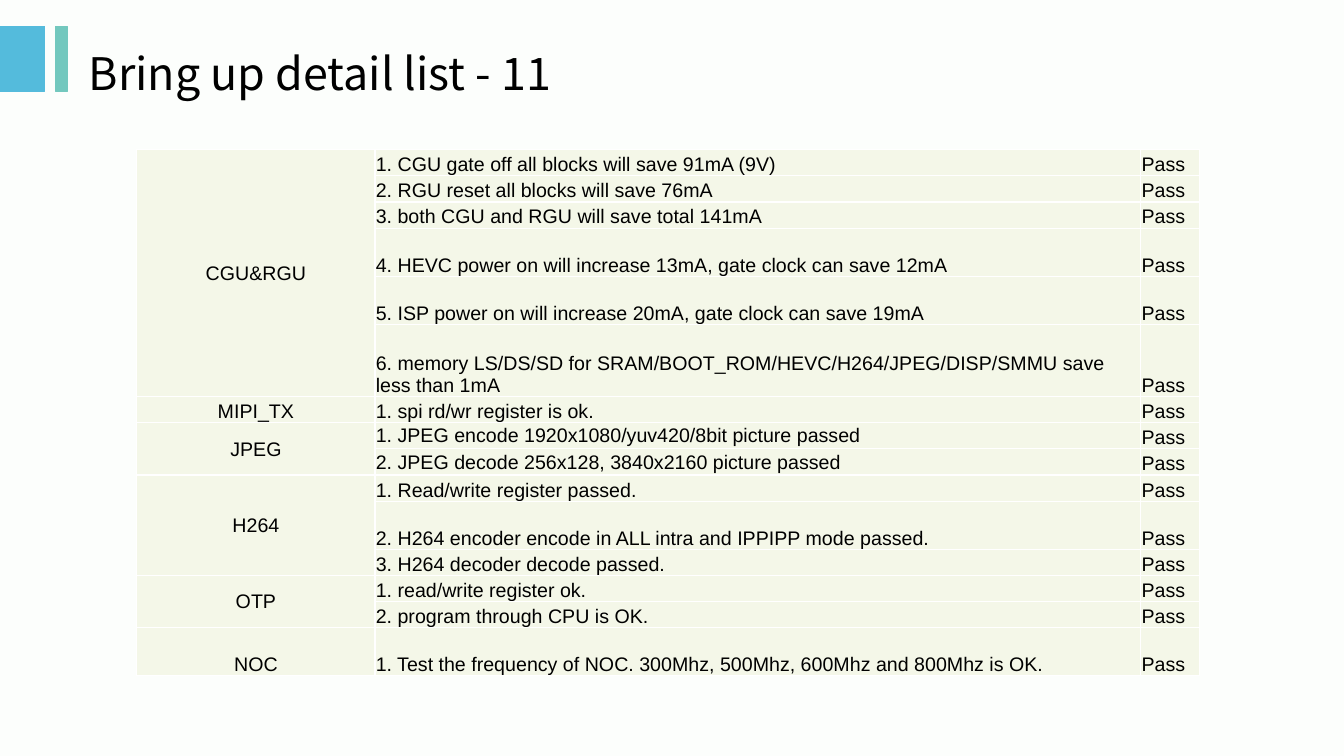
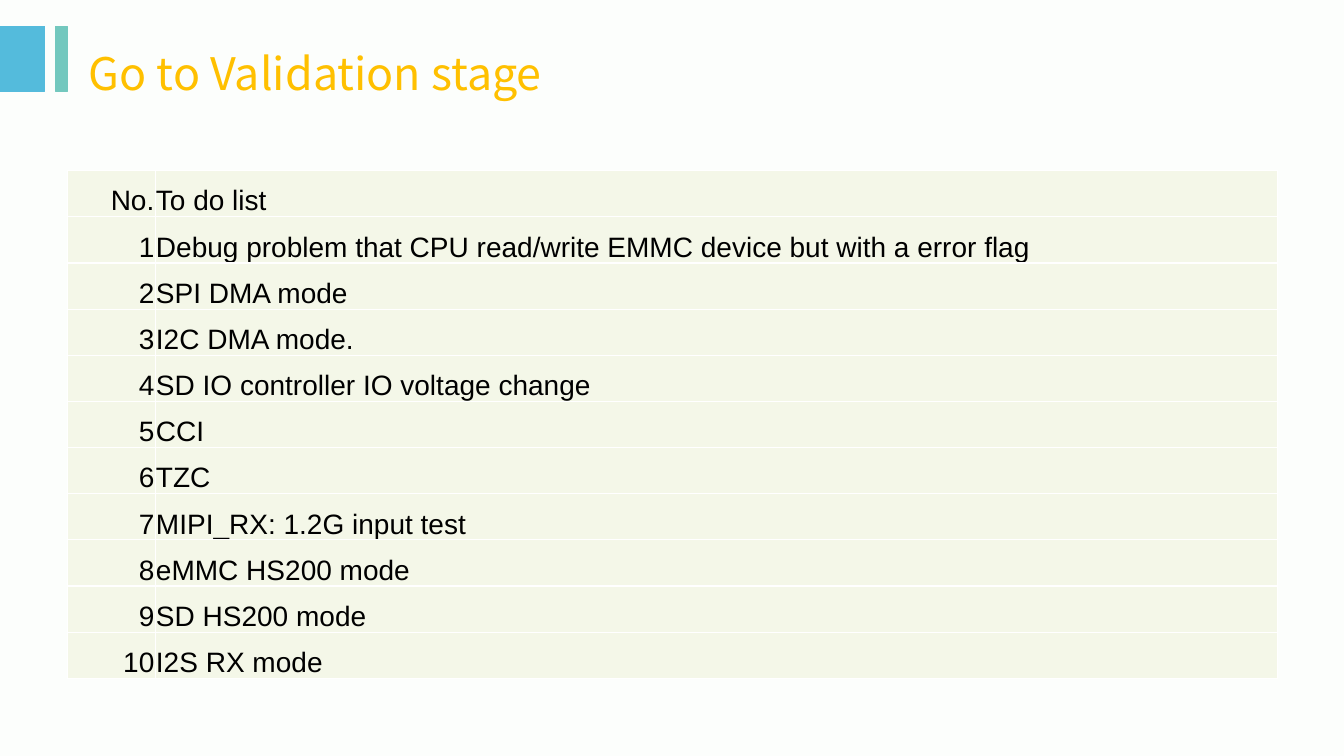
from lxml.etree import SubElement
from pptx import Presentation
from pptx.dml.color import RGBColor
from pptx.enum.shapes import MSO_SHAPE
from pptx.enum.text import MSO_ANCHOR, PP_ALIGN
from pptx.oxml.ns import qn
from pptx.util import Cm, Pt

COLORS = {
    "page": "FCFEFC",
    "blue": "54BBDC",
    "green": "73C8BE",
    "cell": "F4F7E8",
    "border": "FFFFFF",
    "text": "000000",
    "accent": "FFC000",
}
TITLE_FONT = "Noto Sans CJK SC"
BODY_FONT = "Arial"
SHORT, TALL, DOUBLE = 0.66, 1.21, 1.82

CHECKS = [
    ("CGU&RGU", MSO_ANCHOR.BOTTOM, [
        ("1. CGU gate off all blocks will save 91mA (9V)", SHORT),
        ("2. RGU reset all blocks will save 76mA", SHORT),
        ("3. both CGU and RGU will save total 141mA", SHORT),
        ("4. HEVC power on will increase 13mA, gate clock can save 12mA", TALL),
        ("5. ISP power on will increase 20mA, gate clock can save 19mA", TALL),
        ("6. memory LS/DS/SD for SRAM/BOOT_ROM/HEVC/H264/JPEG/DISP/SMMU save less than 1mA", DOUBLE),
    ]),
    ("MIPI_TX", MSO_ANCHOR.BOTTOM, [("1. spi rd/wr register is ok.", SHORT)]),
    ("JPEG", MSO_ANCHOR.MIDDLE, [
        ("1. JPEG encode 1920x1080/yuv420/8bit picture passed", SHORT),
        ("2. JPEG decode 256x128, 3840x2160 picture passed", SHORT),
    ]),
    ("H264", MSO_ANCHOR.BOTTOM, [
        ("1. Read/write register passed.", SHORT),
        ("2. H264 encoder encode in ALL intra and IPPIPP mode passed.", TALL),
        ("3. H264 decoder decode passed.", SHORT),
    ]),
    ("OTP", MSO_ANCHOR.BOTTOM, [
        ("1. read/write register ok.", SHORT),
        ("2. program through CPU is OK.", SHORT),
    ]),
    ("NOC", MSO_ANCHOR.BOTTOM, [
        ("1. Test the frequency of NOC. 300Mhz, 500Mhz, 600Mhz and 800Mhz is OK.", TALL),
    ]),
]

TODO = [
    "Debug problem that CPU read/write EMMC device but with a error flag",
    "SPI DMA mode",
    "I2C DMA mode.",
    "SD IO controller IO voltage change",
    "CCI",
    "TZC",
    "MIPI_RX: 1.2G input test",
    "eMMC HS200 mode",
    "SD HS200 mode",
    "I2S RX mode",
]


def color(name):
    return RGBColor.from_string(COLORS[name])


def write(frame, text, size=14, font=BODY_FONT, tint="text", align=PP_ALIGN.LEFT):
    para = frame.paragraphs[0]
    para.alignment = align
    span = para.add_run()
    span.text = text
    span.font.size = Pt(size)
    span.font.name = font
    span.font.color.rgb = color(tint)


class Slides:
    def __init__(self):
        self.deck = Presentation()
        self.deck.slide_width, self.deck.slide_height = Cm(33.87), Cm(19.05)
        background = self.deck.slide_master.background.fill
        background.solid()
        background.fore_color.rgb = color("page")
        self.page = None

    def add_page(self, title, tint="text"):
        self.page = self.deck.slides.add_slide(self.deck.slide_layouts[6])
        self.add_band(0, 1.13, "blue")
        self.add_band(1.41, 0.29, "green")
        self.add_title(title, tint)

    def add_band(self, left, width, tint):
        band = self.page.shapes.add_shape(
            MSO_SHAPE.RECTANGLE, Cm(left), Cm(0.66), Cm(width), Cm(1.64))
        band.shadow.inherit = False
        band.fill.solid()
        band.fill.fore_color.rgb = color(tint)
        band.line.color.rgb = color(tint)
        band.line.width = Pt(0.75)

    def add_title(self, text, tint):
        box = self.page.shapes.add_textbox(Cm(1.99), Cm(0.66), Cm(30.18), Cm(2.33))
        box.text_frame.word_wrap = True
        box.text_frame.vertical_anchor = MSO_ANCHOR.MIDDLE
        write(box.text_frame, text, size=32, font=TITLE_FONT, tint=tint)

    def add_table(self, left, top, widths, heights):
        table = self.page.shapes.add_table(
            len(heights), len(widths), Cm(left), Cm(top),
            Cm(sum(widths)), Cm(sum(heights))).table
        table.first_row = table.horz_banding = False
        for column, width in zip(table.columns, widths):
            column.width = Cm(width)
        for row, height in zip(table.rows, heights):
            row.height = Cm(height)
        for cell in table.iter_cells():
            self.style_cell(cell)
        return table

    def style_cell(self, cell):
        cell.margin_left = cell.margin_right = cell.margin_top = Cm(0.02)
        cell.margin_bottom = 0
        cell.vertical_anchor = MSO_ANCHOR.BOTTOM
        properties = cell._tc.get_or_add_tcPr()
        for side in ("lnL", "lnR", "lnT", "lnB"):
            line = SubElement(properties, qn(f"a:{side}"), w=str(Pt(1)))
            fill = SubElement(line, qn("a:solidFill"))
            SubElement(fill, qn("a:srgbClr"), val=COLORS["border"])
        cell.fill.solid()
        cell.fill.fore_color.rgb = color("cell")


def add_checks(slides):
    slides.add_page("Bring up detail list - 11")
    heights = [height for _, _, items in CHECKS for _, height in items]
    table = slides.add_table(3.45, 3.77, [6, 19.3, 1.47], heights)
    row = 0
    for block, anchor, items in CHECKS:
        heading = table.cell(row, 0)
        if len(items) > 1:
            heading.merge(table.cell(row + len(items) - 1, 0))
            heading.vertical_anchor = MSO_ANCHOR.MIDDLE
        write(heading.text_frame, block, align=PP_ALIGN.CENTER)
        for text, _ in items:
            check = table.cell(row, 1)
            check.vertical_anchor = anchor
            write(check.text_frame, text)
            write(table.cell(row, 2).text_frame, "Pass")
            row += 1


def add_todo(slides):
    slides.add_page("Go to Validation stage", tint="accent")
    rows = [("No.", "To do list")] + [(str(n), text) for n, text in enumerate(TODO, 1)]
    table = slides.add_table(1.71, 4.3, [2.2, 28.28], [12.8 / len(rows)] * len(rows))
    for row, (number, text) in enumerate(rows):
        write(table.cell(row, 0).text_frame, number, size=20, align=PP_ALIGN.RIGHT)
        write(table.cell(row, 1).text_frame, text, size=20)


def main():
    slides = Slides()
    add_checks(slides)
    add_todo(slides)
    slides.deck.save("out.pptx")


if __name__ == "__main__":
    main()
